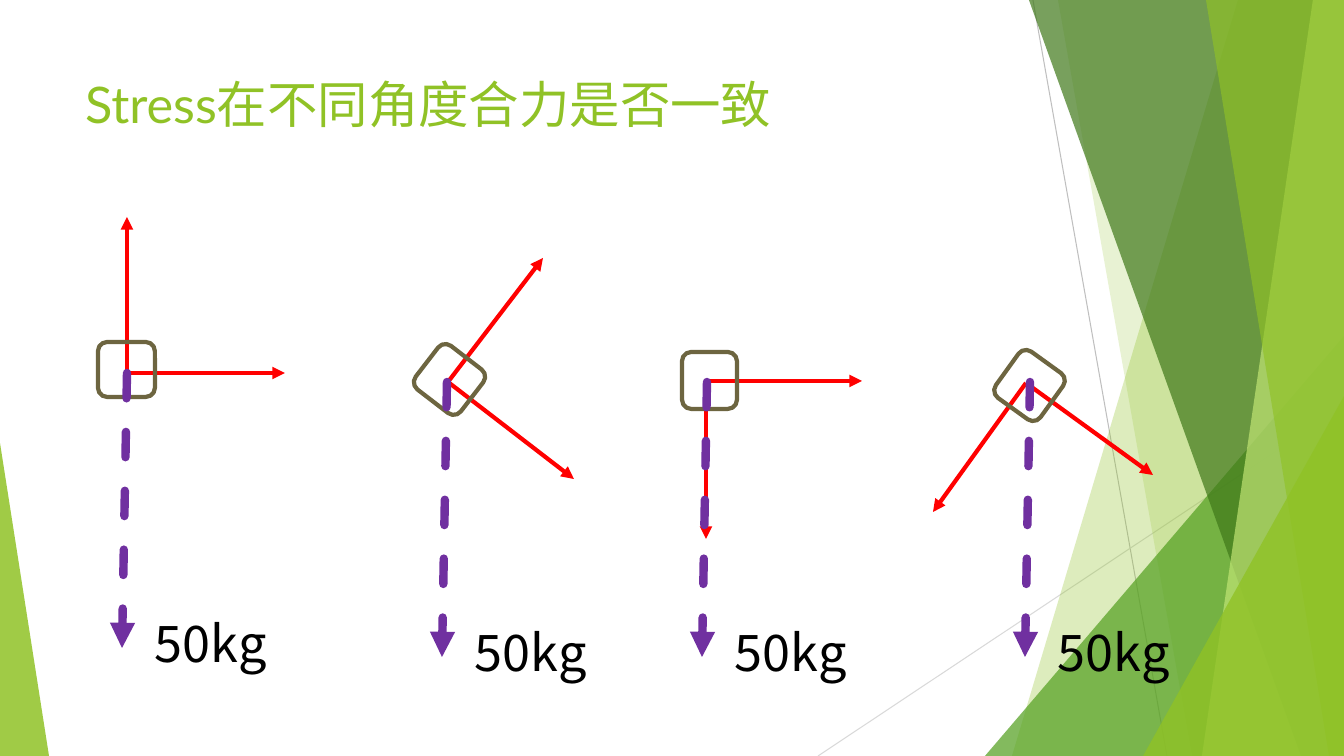
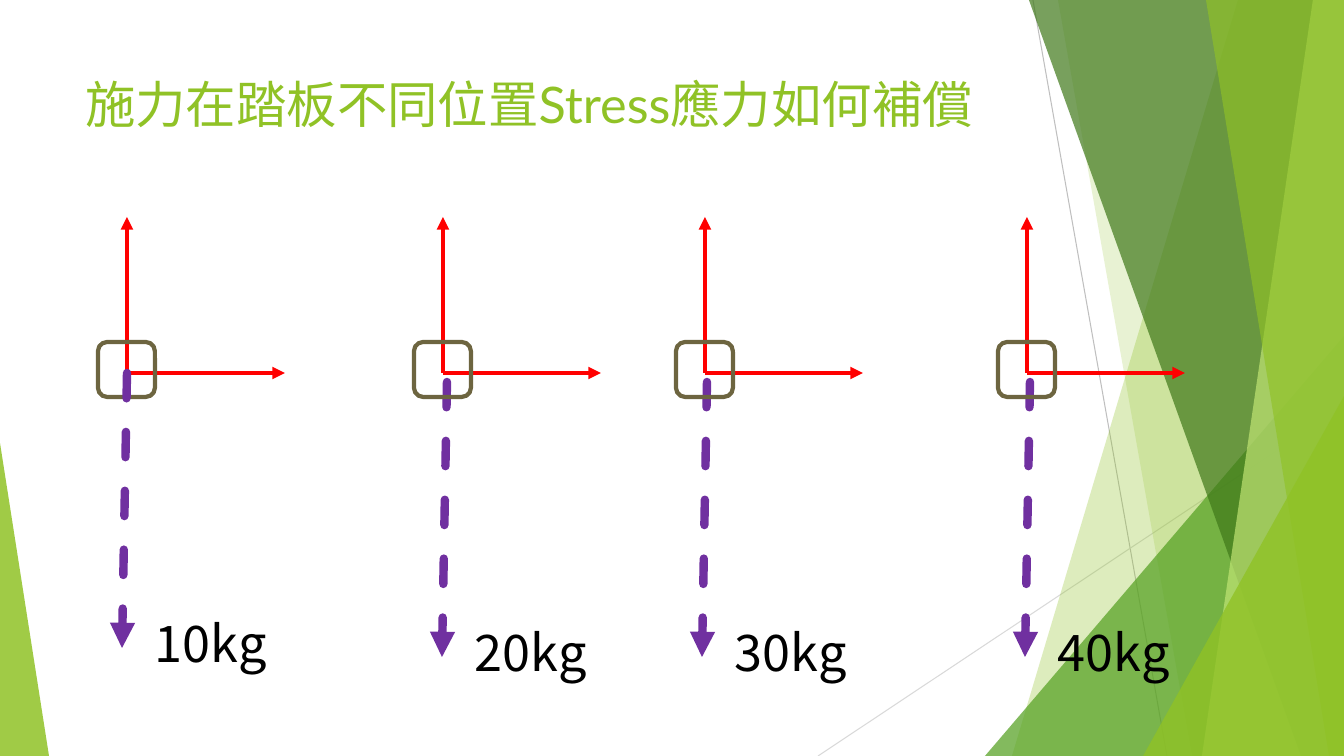
from dataclasses import dataclass

from lxml import etree
from pptx import Presentation
from pptx.dml.color import RGBColor
from pptx.enum.dml import MSO_LINE
from pptx.enum.shapes import MSO_CONNECTOR, MSO_SHAPE
from pptx.enum.text import MSO_ANCHOR, MSO_AUTO_SIZE, PP_ALIGN
from pptx.oxml.ns import qn
from pptx.util import Pt

STRAIGHT = MSO_CONNECTOR.STRAIGHT
TRIANGLE, ROUNDED = MSO_SHAPE.ISOSCELES_TRIANGLE, MSO_SHAPE.ROUNDED_RECTANGLE
DASH = MSO_LINE.DASH
TOP, LEFT = MSO_ANCHOR.TOP, PP_ALIGN.LEFT
NO_FIT, FIT_SHAPE = MSO_AUTO_SIZE.NONE, MSO_AUTO_SIZE.SHAPE_TO_FIT_TEXT
EMU_PER_PX = 914400 / 100.8
WIDTH, HEIGHT = 1344, 756
TITLE_BOX = (75, 68, 948, 145)
ELEMENT_W, ELEMENT_H = 57, 55
LOAD_DX, LOAD_DY = -5, 275
LABEL_DX, LABEL_DY, LABEL_W, LABEL_H = 18, 234, 138, 72

Point = tuple[int, int]


@dataclass(frozen=True)
class Theme:
    """Colours, fonts and sizes in points."""
    green: str = "90C226"
    mid_green: str = "54A021"
    dark_green: str = "3F7819"
    pale_green: str = "C0E474"
    gray: str = "BFBFBF"
    light_gray: str = "D9D9D9"
    stress: str = "FF0000"
    element: str = "6D6540"
    load: str = "7030A0"
    text: str = "000000"
    title_font: str = "Lato"
    body_font: str = "Noto Sans CJK SC"
    text_size: int = 36
    hairline: float = 0.75
    stress_width: int = 3
    load_width: int = 6


T = Theme()


@dataclass(frozen=True)
class Band:
    """Area from a slanted edge to the right side of the slide."""
    top_x: int
    bottom_x: int
    color: str
    opacity: int


@dataclass(frozen=True)
class Wedge:
    """Right triangle standing on the bottom edge, apex at 0 or 1."""
    left: int
    top: int
    width: int
    apex: int
    color: str
    opacity: int


@dataclass(frozen=True)
class Stress:
    """Element corner with two stress arrows."""
    origin: Point
    tips: tuple[Point, Point]
    corner: Point
    angle: float = 0


@dataclass(frozen=True)
class Station:
    """Stressed element with its load."""
    stress: Stress
    load_at: Point
    label: str
    load_in_front: bool = True


BACKDROP = (
    Band(1238, 1012, T.green, 30),
    Band(1058, 1192, T.green, 20),
    Wedge(985, 336, 359, 1, T.mid_green, 72),
    Band(1029, 1301, T.dark_green, 70),
    Band(1313, 1202, T.pale_green, 70),
    Band(1206, 1329, T.green, 65),
    Wedge(1143, 396, 201, 1, T.green, 80),
    Wedge(0, 443, 49, 0, T.green, 85),
)
LOADS = ((127, 373), (447, 382), (707, 382), (1030, 382))


def px(*values: int) -> list[int]:
    """Turn pixels into EMU."""
    return [round(v * EMU_PER_PX) for v in values]


def upright(x: int) -> Stress:
    """Unrotated element whose arrows point right and up."""
    return Stress((x, 373), ((x + 158, 373), (x, 217)), (x - 29, 342))


TILTED = (
    upright(127),
    Stress((448, 382), ((574, 479), (543, 258)), (421, 352), 37.6),
    Stress((706, 381), ((706, 539), (862, 381)), (681, 353), 90),
    Stress((1026, 383), ((933, 512), (1153, 475)), (1001, 358), 125.8),
)
ROTATION = [Station(stress, at, "50kg") for stress, at in zip(TILTED, LOADS)]
POSITION = [
    Station(upright(x), at, f"{10 * n}kg", load_in_front=n == 1)
    for n, (x, at) in enumerate(zip((127, 443, 705, 1027), LOADS), 1)
]


def add_line(s, start: Point, end: Point, color: str, width: float,
             arrow: bool = False, dashed: bool = False) -> None:
    """Draw a straight line, optionally dashed or with an arrowhead."""
    c = s.shapes.add_connector(STRAIGHT, *px(*start, *end))
    c.line.color.rgb = RGBColor.from_string(color)
    c.line.width = Pt(width)
    ln = c.element.spPr.find(qn("a:ln"))
    if dashed:
        c.line.dash_style = DASH
        ln.set("cap", "rnd")
    if arrow:
        etree.SubElement(ln, qn("a:tailEnd"), type="triangle")
    etree.SubElement(c.element.spPr, qn("a:effectLst"))


def fill_clear(sp, color: str, opacity: int) -> None:
    """Give a shape a see-through fill and no line."""
    sp.shadow.inherit = False
    sp.fill.solid()
    sp.fill.fore_color.rgb = RGBColor.from_string(color)
    sp.line.fill.background()
    clr = sp.element.spPr.find(qn("a:solidFill"))[0]
    etree.SubElement(clr, qn("a:alpha"), val=str(opacity * 1000))


def add_band(s, band: Band) -> None:
    """Draw one slanted band."""
    builder = s.shapes.build_freeform(band.top_x, 0, scale=EMU_PER_PX)
    builder.add_line_segments(
        [(WIDTH, 0), (WIDTH, HEIGHT), (band.bottom_x, HEIGHT)], close=True)
    fill_clear(builder.convert_to_shape(), band.color, band.opacity)


def add_wedge(s, wedge: Wedge) -> None:
    """Draw one right triangle."""
    sp = s.shapes.add_shape(TRIANGLE, *px(
        wedge.left, wedge.top, wedge.width, HEIGHT - wedge.top))
    sp.adjustments[0] = wedge.apex
    fill_clear(sp, wedge.color, wedge.opacity)


def move_backdrop_to_layout(s, layout) -> None:
    """Draw the backdrop and hand it to the layout that all slides share."""
    for ph in list(layout.placeholders):
        if ph.placeholder_format.idx != 0:
            ph.element.getparent().remove(ph.element)
    add_line(s, (1033, 0), (1167, HEIGHT), T.gray, T.hairline)
    add_line(s, (WIDTH, 406), (818, HEIGHT), T.light_gray, T.hairline)
    for part in BACKDROP:
        if isinstance(part, Band):
            add_band(s, part)
        else:
            add_wedge(s, part)
    drawn = [sp for sp in s.shapes if not sp.is_placeholder]
    for i, sp in enumerate(drawn, 2):
        layout.shapes.element.insert(i, sp.element)


def write(tf, text: str, *, font: str, color: str) -> None:
    """Write one left-aligned run from the top of a frame."""
    tf.vertical_anchor = TOP
    p = tf.paragraphs[0]
    p.alignment = LEFT
    r = p.add_run()
    r.text = text
    r.font.name = font
    r.font.size = Pt(T.text_size)
    r.font.color.rgb = RGBColor.from_string(color)


def set_title(s, text: str) -> None:
    """Place and format the slide title."""
    title = s.shapes.title
    title.left, title.top, title.width, title.height = px(*TITLE_BOX)
    title.text_frame.auto_size = NO_FIT
    write(title.text_frame, text, font=T.title_font, color=T.green)


def add_stress(s, stress: Stress) -> None:
    """Draw the stress arrows and the element outline."""
    for tip in stress.tips:
        add_line(s, stress.origin, tip, T.stress, T.stress_width, arrow=True)
    sp = s.shapes.add_shape(ROUNDED, *px(*stress.corner, ELEMENT_W, ELEMENT_H))
    sp.shadow.inherit = False
    sp.rotation = stress.angle
    sp.fill.background()
    sp.line.color.rgb = RGBColor.from_string(T.element)
    sp.line.width = Pt(T.stress_width)


def add_load(s, at: Point, label: str) -> None:
    """Draw the dashed load arrow and its weight."""
    x, y = at
    add_line(s, at, (x + LOAD_DX, y + LOAD_DY), T.load, T.load_width,
             arrow=True, dashed=True)
    box = s.shapes.add_textbox(
        *px(x + LABEL_DX, y + LABEL_DY, LABEL_W, LABEL_H))
    tf = box.text_frame
    tf.word_wrap = False
    tf.auto_size = FIT_SHAPE
    write(tf, label, font=T.body_font, color=T.text)


def add_station(s, station: Station) -> None:
    """Draw an element and its load in stacking order."""
    if station.load_in_front:
        add_stress(s, station.stress)
    add_load(s, station.load_at, station.label)
    if not station.load_in_front:
        add_stress(s, station.stress)


def main() -> None:
    """Build and save the presentation."""
    prs = Presentation()
    prs.slide_width, prs.slide_height = px(WIDTH, HEIGHT)
    layout = prs.slide_layouts[5]
    pages = (("Stress在不同角度合力是否一致", ROTATION),
             ("施力在踏板不同位置Stress應力如何補償", POSITION))
    for number, (title, stations) in enumerate(pages):
        s = prs.slides.add_slide(layout)
        if number == 0:
            move_backdrop_to_layout(s, layout)
        set_title(s, title)
        for station in stations:
            add_station(s, station)
    prs.save("out.pptx")


main()
